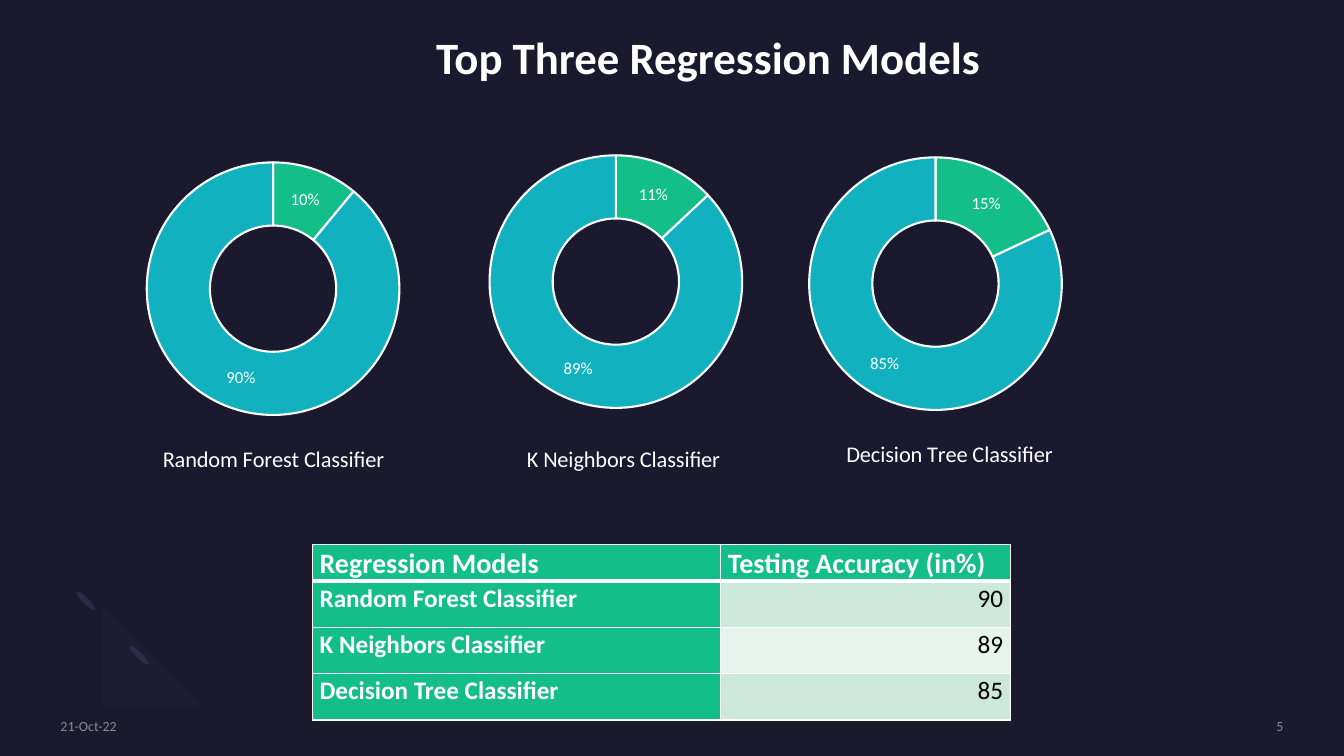
import pptx
import pptx.chart.data
import pptx.dml.color
import pptx.enum.chart
import pptx.enum.shapes
import pptx.enum.text
import pptx.oxml.ns
import pptx.oxml.xmlchemy
import pptx.util
from lxml import etree

Inches = pptx.util.Inches
Pt = pptx.util.Pt
ALIGN = pptx.enum.text.PP_ALIGN
ANCHOR = pptx.enum.text.MSO_ANCHOR
qn = pptx.oxml.ns.qn
new_element = pptx.oxml.xmlchemy.OxmlElement

NAVY, WHITE, BLACK = "1B192E", "FFFFFF", "000000"
GREEN, TEAL, GREY = "13BE89", "12B1BF", "A6A6A6"
PLOT = {"layoutTarget": "inner", "xMode": "edge", "yMode": "edge",
        "x": 0.14, "y": 0.04, "w": 0.61, "h": 0.71}

# chart left and top, title offset in the chart, drawn values, shown labels
DOUGHNUTS = [
    ("Random Forest Classifier", 0.36, 1.47, 0.23, 0.82, (11, 89), ("10%", "90%")),
    ("K Neighbors Classifier", 3.76, 1.4, 0.27, 0.84, (13, 87), ("11%", "89%")),
    ("Decision Tree Classifier", 6.93, 1.42, 0.27, 0.82, (18, 82), ("15%", "85%")),
]
ACCURACY = [
    ("Regression Models", "Testing Accuracy (in%)"),
    ("Random Forest Classifier", "90"),
    ("K Neighbors Classifier", "89"),
    ("Decision Tree Classifier", "85"),
]


def rgb(color):
    return pptx.dml.color.RGBColor.from_string(color)


def set_all(obj, values):
    for name, value in values.items():
        setattr(obj, name, value)


def set_font(font, size, color=WHITE, bold=False):
    set_all(font, {"name": "Calibri", "size": Pt(size), "bold": bold})
    font.color.rgb = rgb(color)


def set_fill(fill, color):
    fill.solid()
    fill.fore_color.rgb = rgb(color)


def set_alpha(parent, percent):
    clr = parent.find(".//" + qn("a:srgbClr"))
    etree.SubElement(clr, qn("a:alpha"), val=str(percent * 1000))


def write(tf, text, size, color=WHITE, bold=False, align=ALIGN.LEFT):
    p = tf.paragraphs[0]
    p.alignment = align
    r = p.add_run()
    r.text = text
    set_font(r.font, size, color, bold)
    return p, r


def add_title(slide, text):
    sp = slide.shapes.title
    set_all(sp, {"left": Inches(3.9), "top": Inches(0.24),
                 "width": Inches(6.25), "height": Inches(0.64)})
    set_all(sp.text_frame, {"word_wrap": True, "vertical_anchor": ANCHOR.TOP,
                            "auto_size": pptx.enum.text.MSO_AUTO_SIZE.NONE})
    write(sp.text_frame, text, 32, bold=True, align=ALIGN.CENTER)


def add_footer(slide, text, left, width, align):
    sp = slide.shapes.add_textbox(Inches(left), Inches(7.12), Inches(width), Inches(0.17))
    tf = sp.text_frame
    set_all(tf, {"margin_left": 0, "margin_top": 0, "margin_right": 0, "margin_bottom": 0,
                 "word_wrap": True, "vertical_anchor": ANCHOR.MIDDLE})
    p, r = write(tf, text, 10, GREY, align=align)
    set_alpha(r._r, 80)


def finish_decoration(sp, color):
    sp.shadow.inherit = False
    set_fill(sp.fill, color)
    sp.line.fill.background()


def add_petal(slide, left, top):
    sp = slide.shapes.add_shape(pptx.enum.shapes.MSO_SHAPE.OVAL, Inches(left),
                                Inches(top), Inches(0.06), Inches(0.26))
    sp.rotation = 135
    finish_decoration(sp, "2C284A")


def curve(start, c1, c2, end, steps=12):
    for i in range(1, steps + 1):
        t = i / steps
        weights = ((1 - t) ** 3, 3 * t * (1 - t) ** 2, 3 * t * t * (1 - t), t ** 3)
        yield tuple(sum(w * pt[axis] for w, pt in zip(weights, (start, c1, c2, end)))
                    for axis in (0, 1))


def add_arc(slide):
    start = (0.76, 6.59)
    points = [*curve(start, (0.56, 6.39), (0.58, 6.05), (0.81, 5.82)), (0.99, 6),
              *curve((0.99, 6), (0.87, 6.11), (0.86, 6.29), (0.96, 6.38)),
              *curve((0.96, 6.38), (1.06, 6.48), (1.23, 6.47), (1.35, 6.36)), (1.52, 6.54),
              *curve((1.52, 6.54), (1.3, 6.76), (0.95, 6.79), start)]
    fb = slide.shapes.build_freeform(*start, scale=Inches(1))
    fb.add_line_segments(points, close=True)
    sp = fb.convert_to_shape()
    finish_decoration(sp, "7771B2")
    set_alpha(sp._element.spPr, 4)


def set_layout(parent, index, values):
    layout = parent.find(qn("c:layout"))
    if layout is None:
        layout = new_element("c:layout")
        parent.insert(index, layout)
    manual = etree.SubElement(layout, qn("c:manualLayout"))
    for name, value in values.items():
        etree.SubElement(manual, qn("c:" + name), val=str(value))


def add_doughnut(slide, name, left, top, title_x, title_y, values, labels):
    data = pptx.chart.data.CategoryChartData()
    data.categories = ["1", "2"]
    data.add_series("Series 1", values)
    chart = slide.shapes.add_chart(
        pptx.enum.chart.XL_CHART_TYPE.DOUGHNUT, Inches(left), Inches(top),
        Inches(5.28), Inches(3.53), data).chart
    set_font(chart.font, 10)
    set_all(chart, {"has_legend": False, "has_title": True})
    write(chart.chart_title.text_frame, name, 16, align=ALIGN.CENTER)
    root = chart._chartSpace
    set_layout(root.find(".//" + qn("c:title")), 1,
               {"xMode": "edge", "yMode": "edge", "x": title_x, "y": title_y})
    set_layout(root.find(".//" + qn("c:plotArea")), 0, PLOT)

    # Slices and their labels
    plot = chart.plots[0]
    plot.vary_by_categories = True
    for i, (color, label) in enumerate(zip((GREEN, TEAL), labels)):
        point = plot.series[0].points[i]
        set_fill(point.format.fill, color)
        set_fill(point.format.line.fill, WHITE)
        point.format.line.width = Pt(1.5)
        write(point.data_label.text_frame, label, 12, align=ALIGN.CENTER)


def set_borders(cell, bottom):
    tcPr = cell._tc.get_or_add_tcPr()
    for i, (side, width) in enumerate((("L", 1), ("R", 1), ("T", 1), ("B", bottom))):
        ln = new_element("a:ln" + side)
        ln.set("w", str(Pt(width)))
        fill = etree.SubElement(ln, qn("a:solidFill"))
        etree.SubElement(fill, qn("a:srgbClr"), val=WHITE)
        tcPr.insert(i, ln)


def add_accuracy_table(slide):
    table = slide.shapes.add_table(len(ACCURACY), 2, Inches(3.1), Inches(5.4),
                                   Inches(6.92), Inches(1.7)).table
    for col, width in zip(table.columns, (4.05, 2.87)):
        col.width = Inches(width)
    for i, texts in enumerate(ACCURACY):
        table.rows[i].height = Inches(0.46 if i else 0.32)
        for j, text in enumerate(texts):
            cell = table.cell(i, j)
            is_value = i > 0 and j > 0
            set_all(cell, {"margin_left": Inches(0.07), "margin_right": Inches(0.07),
                           "margin_top": 0, "margin_bottom": 0})
            p, r = write(cell.text_frame, text, 18 if i else 20,
                         BLACK if is_value else WHITE, not is_value,
                         ALIGN.RIGHT if is_value else ALIGN.LEFT)
            p.line_spacing = 1.07
            band = "CCE8DA" if i % 2 else "E7F4ED"
            set_fill(cell.fill, band if is_value else GREEN)
            set_borders(cell, 1 if i else 3)


def main():
    prs = pptx.Presentation()
    set_all(prs, {"slide_width": Inches(13.33), "slide_height": Inches(7.5)})
    slide = prs.slides.add_slide(prs.slide_layouts[5])
    set_fill(slide.background.fill, NAVY)
    # Corner decoration
    add_petal(slide, 1.35, 6.37)
    add_petal(slide, 0.82, 5.83)
    add_arc(slide)
    # Content
    add_title(slide, "Top Three Regression Models")
    for doughnut in DOUGHNUTS:
        add_doughnut(slide, *doughnut)
    add_accuracy_table(slide)
    # Footer
    add_footer(slide, "21-Oct-22", 0.6, 2.88, ALIGN.LEFT)
    add_footer(slide, "5", 10.88, 1.85, ALIGN.RIGHT)
    prs.save("out.pptx")


main()
